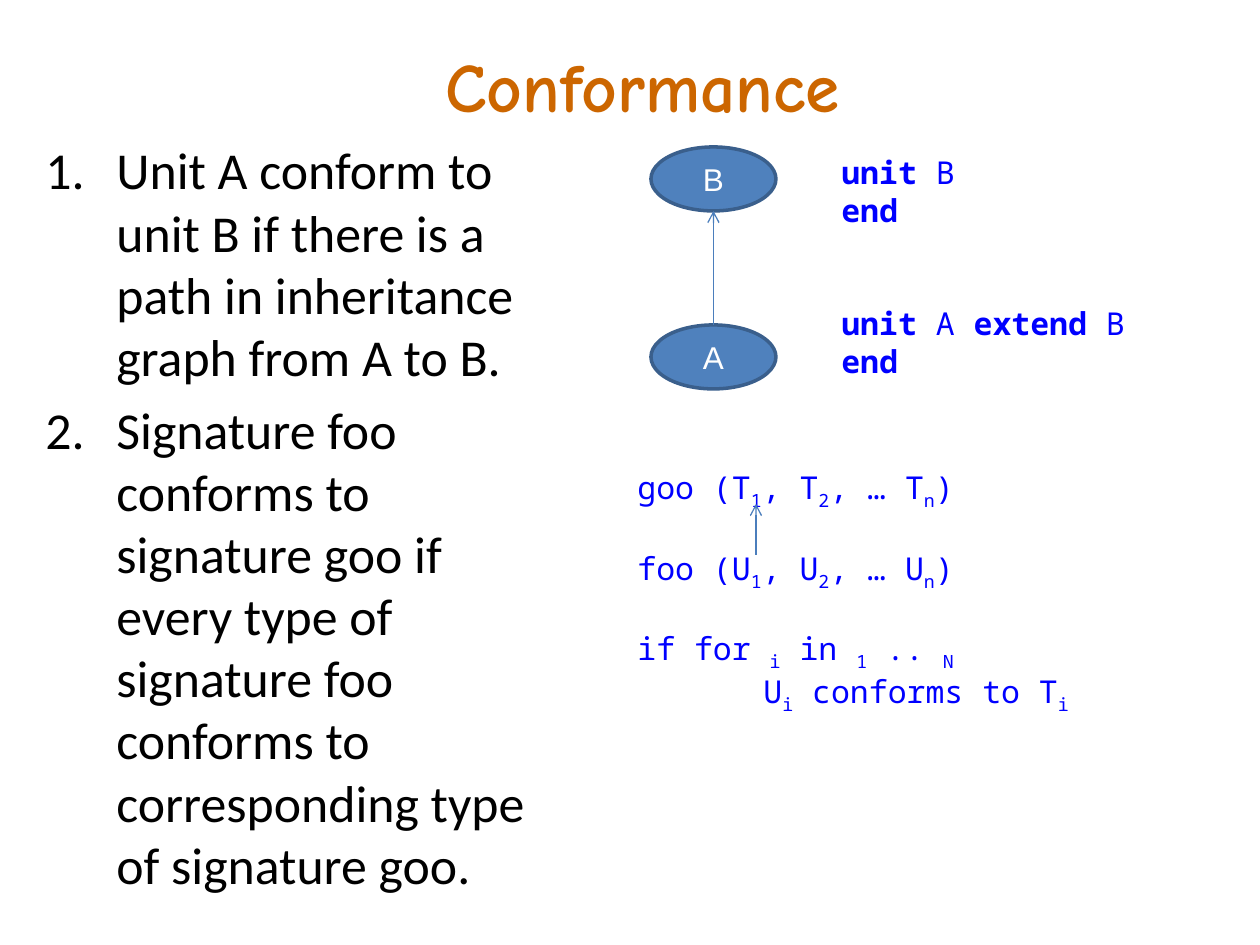
import pptx
import pptx.util
import pptx.dml.color
import pptx.enum.shapes
import pptx.enum.text
import pptx.oxml.ns
import lxml.etree

PIXEL = 914400 // 126

THEME = {
    "title": {"font": "Comic Neue", "size": 39.6, "color": "CC6600", "bold": True},
    "body": {"font": "Calibri", "size": 29.6, "color": "000000"},
    "code": {"font": "Noto Sans Mono", "size": 18, "color": "0000FF"},
    "node": {"font": "Arial", "size": 18, "color": "FFFFFF"},
    "node_fill": "4F81BD",
    "node_line": "3A5F8C",
    "arrow": "4B7EBC",
}
BLANK_LINE = 21.5

TITLE = ("Conformance", (410, 32, 465, 106))
RULES = [
    "Unit A conform to unit B if there is a path in inheritance graph from A to B.",
    "Signature foo conforms to signature goo if every type of signature foo "
    "conforms to corresponding type of signature goo.",
]
RULES_BOX = (33, 132, 524, 770)
NODES = {"B": (651, 147, 125, 64), "A": (651, 325, 125, 64)}
TYPE_ARROW = (756, 555, 756, 504)

UNIT_BOX = (829, 147, 418, 242)
UNIT_LINES = [
    {"runs": [("unit", "bold"), (" B", "")]},
    {"runs": [("end", "bold")]},
    {"runs": [("unit", "bold"), (" A ", ""), ("extend", "bold"), (" B", "")],
     "before": 2 * BLANK_LINE},
    {"runs": [("end", "bold")]},
]


def signature(name, letter):
    return [(f"{name} ({letter}", ""), ("1", "sub"), (f", {letter}", ""), ("2", "sub"),
            (f", … {letter}", ""), ("n", "sub"), (")", "")]


SIGNATURE_BOX = (625, 462, 499, 242)
SIGNATURE_LINES = [
    {"runs": signature("goo", "T")},
    {"runs": signature("foo", "U"), "before": BLANK_LINE},
    {"runs": [("if for ", ""), ("i", "sub"), (" in ", ""), ("1", "sub"),
              (" .. ", ""), ("N", "sub")], "before": BLANK_LINE},
    {"runs": [("U", ""), ("i", "sub"), (" conforms to T", ""), ("i", "sub")],
     "indent": 126},
]


def pixels(values):
    return [round(value * PIXEL) for value in values]


def color(name):
    return pptx.dml.color.RGBColor.from_string(name)


def add_run(paragraph, text, style, mark=""):
    run = paragraph.add_run()
    run.text = text
    run.font.name = style["font"]
    run.font.size = pptx.util.Pt(style["size"])
    run.font.color.rgb = color(style["color"])
    run.font.bold = style.get("bold", mark == "bold")
    if mark == "sub":
        run._r.get_or_add_rPr().set("baseline", "-25000")


def write_lines(text_frame, lines, style, align=None):
    text_frame.word_wrap = True
    for index, line in enumerate(lines):
        paragraph = text_frame.add_paragraph() if index else text_frame.paragraphs[0]
        paragraph.alignment = align
        if "before" in line:
            paragraph.space_before = pptx.util.Pt(line["before"])
        properties = paragraph._p.get_or_add_pPr()
        if "indent" in line:
            properties.set("marL", str(line["indent"] * PIXEL))
        if line.get("numbered"):
            properties.set("indent", str(-line["indent"] * PIXEL))
            lxml.etree.SubElement(properties, pptx.oxml.ns.qn("a:buAutoNum"),
                                  type="arabicPeriod")
        for text, mark in line["runs"]:
            add_run(paragraph, text, style, mark)


def add_text(slide, box, lines, style):
    shape = slide.shapes.add_textbox(*pixels(box))
    write_lines(shape.text_frame, lines, style)


def add_node(slide, label, box):
    shape = slide.shapes.add_shape(pptx.enum.shapes.MSO_SHAPE.OVAL, *pixels(box))
    shape.shadow.inherit = False
    shape.fill.solid()
    shape.fill.fore_color.rgb = color(THEME["node_fill"])
    shape.line.color.rgb = color(THEME["node_line"])
    shape.line.width = pptx.util.Pt(2)
    shape.text_frame.vertical_anchor = pptx.enum.text.MSO_ANCHOR.MIDDLE
    write_lines(shape.text_frame, [{"runs": [(label, "")]}], THEME["node"],
                pptx.enum.text.PP_ALIGN.CENTER)


def add_arrow(slide, ends):
    connector = slide.shapes.add_connector(
        pptx.enum.shapes.MSO_CONNECTOR.STRAIGHT, *pixels(ends))
    connector.line.color.rgb = color(THEME["arrow"])
    connector.line.width = pptx.util.Pt(0.75)
    lxml.etree.SubElement(connector.line._get_or_add_ln(),
                          pptx.oxml.ns.qn("a:tailEnd"), type="arrow")
    lxml.etree.SubElement(connector._element.spPr, pptx.oxml.ns.qn("a:effectLst"))


def inheritance_ends(child, parent):
    child_left, child_top, child_width, _ = child
    parent_left, parent_top, parent_width, parent_height = parent
    return (child_left + child_width / 2, child_top,
            parent_left + parent_width / 2, parent_top + parent_height)


presentation = pptx.Presentation()
presentation.slide_width, presentation.slide_height = pixels((1260, 945))
slide = presentation.slides.add_slide(presentation.slide_layouts[5])

title_text, title_box = TITLE
title = slide.shapes.title
title.left, title.top, title.width, title.height = pixels(title_box)
title.text_frame.vertical_anchor = pptx.enum.text.MSO_ANCHOR.MIDDLE
write_lines(title.text_frame, [{"runs": [(title_text, "")]}], THEME["title"],
            pptx.enum.text.PP_ALIGN.CENTER)

rule_lines = [{"runs": [(rule, "")], "indent": 71, "numbered": True, "before": 6}
              for rule in RULES]
add_text(slide, RULES_BOX, rule_lines, THEME["body"])

for label, box in NODES.items():
    add_node(slide, label, box)
add_arrow(slide, inheritance_ends(NODES["A"], NODES["B"]))

add_text(slide, UNIT_BOX, UNIT_LINES, THEME["code"])
add_text(slide, SIGNATURE_BOX, SIGNATURE_LINES, THEME["code"])
add_arrow(slide, TYPE_ARROW)

presentation.save("out.pptx")
